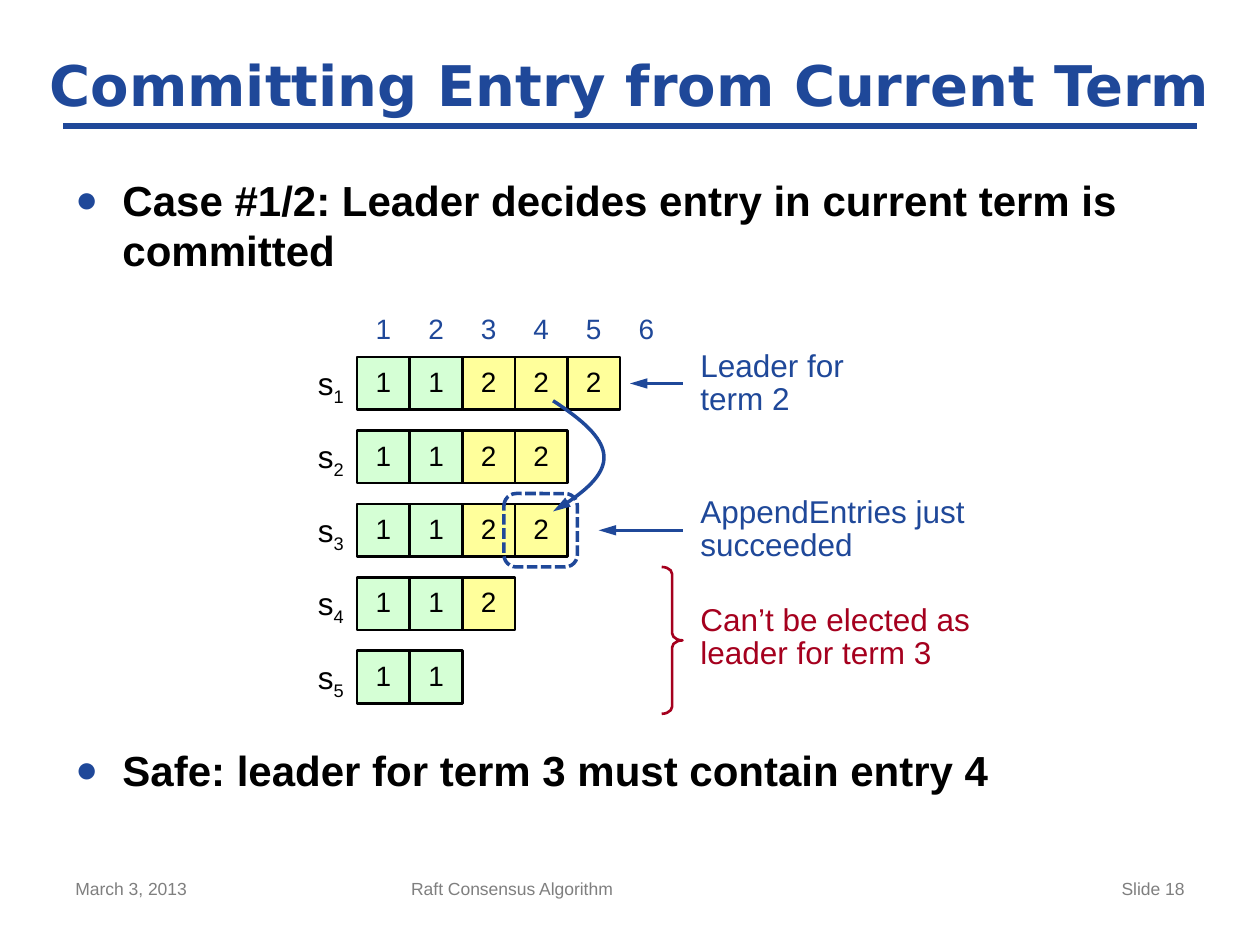
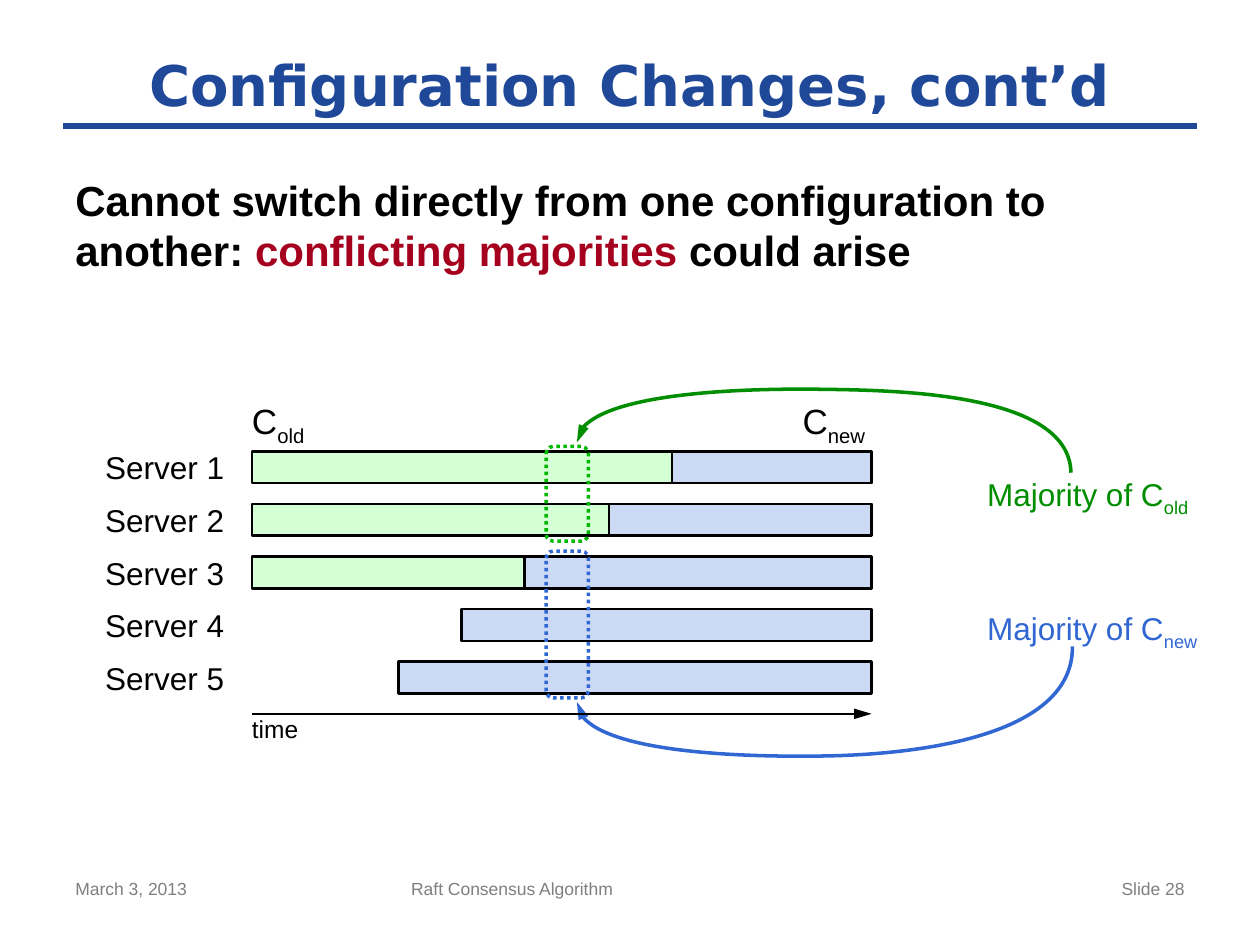
import pptx
import pptx.dml.color
import pptx.enum.dml
import pptx.enum.shapes
import pptx.enum.text
import pptx.oxml.ns
import pptx.util
from lxml import etree

Cm = pptx.util.Cm
Pt = pptx.util.Pt
RGBColor = pptx.dml.color.RGBColor
Shape = pptx.enum.shapes.MSO_SHAPE
Dash = pptx.enum.dml.MSO_LINE
Align = pptx.enum.text.PP_ALIGN
Anchor = pptx.enum.text.MSO_ANCHOR
qn = pptx.oxml.ns.qn

BLACK = RGBColor(0x00, 0x00, 0x00)
NAVY = RGBColor(0x1F, 0x48, 0x99)
BLUE = RGBColor(0x31, 0x67, 0xD3)
PALE = RGBColor(0xCC, 0xD9, 0xF4)
MINT = RGBColor(0xD5, 0xFF, 0xD5)
LIME = RGBColor(0x00, 0xB8, 0x00)
GREEN = RGBColor(0x00, 0x8E, 0x00)
YELLOW = RGBColor(0xFF, 0xFF, 0x9B)
RED = RGBColor(0xA5, 0x00, 0x1E)
GREY = RGBColor(0x7F, 0x7F, 0x7F)

WIDTH = 25.4
EDGE = 1.27
CELL = 1.06
LEFT, TOP, STEP = 7.2, 7.2, 1.48
START, END = 5.08, 17.57
BAR_TOP, BAR = 9.1, 0.64
LOGS = ["11222", "1122", "1122", "112", "11"]
SWITCH = [13.55, 12.28, 10.58, 9.31, 8.04]
FILLS = {"1": MINT, "2": YELLOW}


def style(par, size, color, bold=False, font="Arial"):
    for run in par.runs:
        run.font.size = Pt(size)
        run.font.name = font
        run.font.bold = bold
        run.font.color.rgb = color


def label(slide, box, text, size, color, sub="", align=Align.LEFT,
          pad=False, wrap=True, space=None):
    frame = slide.shapes.add_textbox(*map(Cm, box)).text_frame
    frame.word_wrap = wrap
    if not pad:
        frame.margin_left = frame.margin_right = 0
        frame.margin_top = frame.margin_bottom = 0
    par = frame.paragraphs[0]
    par.text = text
    par.alignment = align
    par.line_spacing = space
    if sub:
        run = par.add_run()
        run.text = sub
        run.font._element.set("baseline", "-25000")
    style(par, size, color)
    return frame


def shape(slide, kind, box, line, width=1.5, fill=None, dash=None):
    item = slide.shapes.add_shape(kind, *map(Cm, box))
    item.shadow.inherit = False
    if fill is None:
        item.fill.background()
    else:
        item.fill.solid()
        item.fill.fore_color.rgb = fill
    stroke(item, line, width)
    if dash:
        item.line.dash_style = dash
    return item


def stroke(item, color, width, arrow=False):
    item.line.color.rgb = color
    item.line.width = Pt(width)
    if arrow:
        line = item._element.spPr.find(qn("a:ln"))
        etree.SubElement(line, qn("a:tailEnd"), type="triangle", w="med", len="lg")


def line(slide, ends, color, width=1.5, arrow=True):
    kind = pptx.enum.shapes.MSO_CONNECTOR.STRAIGHT
    item = slide.shapes.add_connector(kind, *map(Cm, ends))
    stroke(item, color, width, arrow)
    etree.SubElement(item._element.spPr, qn("a:effectLst"))


def curve(slide, points, color):
    spots = [(Cm(x), Cm(y)) for x, y in points]
    pen = slide.shapes.build_freeform(*spots[0])
    pen.add_line_segments(spots[1:], close=False)
    item = pen.convert_to_shape()
    item.shadow.inherit = False
    item.fill.background()
    stroke(item, color, 2, True)
    legs = list(item._element.iter(qn("a:lnTo")))
    for first in range(0, len(legs), 3):
        trio = legs[first:first + 3]
        bend = etree.Element(qn("a:cubicBezTo"))
        trio[0].addprevious(bend)
        for leg in trio:
            bend.append(leg[0])
            leg.getparent().remove(leg)


def bullet(par):
    props = par._p.get_or_add_pPr()
    props.set("marL", str(Cm(0.95)))
    props.set("indent", str(Cm(-0.95)))
    tint = etree.SubElement(props, qn("a:buClr"))
    etree.SubElement(tint, qn("a:srgbClr"), val=str(NAVY))
    etree.SubElement(props, qn("a:buSzPct"), val="90000")
    etree.SubElement(props, qn("a:buFont"), typeface="Arial")
    etree.SubElement(props, qn("a:buChar"), char="●")


def body(slide, text):
    frame = label(slide, (EDGE, 3.39, 22.86, 13.64), text, 24, BLACK, pad=True)
    par = frame.paragraphs[0]
    par.space_before = Pt(12)
    style(par, 24, BLACK, True)
    return frame


def page(deck, title, width, number):
    slide = deck.slides.add_slide(deck.slide_layouts[6])
    line(slide, (EDGE, 2.54, WIDTH - EDGE, 2.54), NAVY, 4, False)
    box = ((WIDTH - width) / 2, 0.85, width, 1.69)
    frame = label(slide, box, title, 32, NAVY, align=Align.CENTER, pad=True)
    frame.vertical_anchor = Anchor.MIDDLE
    style(frame.paragraphs[0], 32, NAVY, True, "DejaVu Sans")
    for left, wide, text, align in [
        (EDGE, 5.93, "March 3, 2013", Align.LEFT),
        (8.04, 9.53, "Raft Consensus Algorithm", Align.LEFT),
        (18.2, 5.93, f"Slide {number}", Align.RIGHT),
    ]:
        label(slide, (left, 17.57, wide, 1.09), text, 10, GREY, align=align, pad=True)
    return slide


def cell(slide, left, top, term):
    item = shape(slide, Shape.RECTANGLE, (left, top, CELL, CELL), BLACK, fill=FILLS[term])
    frame = item.text_frame
    frame.margin_left = frame.margin_right = 0
    frame.margin_top = frame.margin_bottom = 0
    frame.vertical_anchor = Anchor.MIDDLE
    par = frame.paragraphs[0]
    par.text = term
    par.alignment = Align.CENTER
    par.line_spacing = Pt(17)
    style(par, 16, BLACK)


def commit(deck):
    slide = page(deck, "Committing Entry from Current Term", 24.13, 18)
    frame = body(slide, "Case #1/2: Leader decides entry in current term is committed")
    last = frame.add_paragraph()
    last.text = "Safe: leader for term 3 must contain entry 4"
    last.space_before = Pt(268)
    style(last, 24, BLACK, True)
    for par in frame.paragraphs:
        bullet(par)

    for col in range(6):
        box = (LEFT + col * CELL, 6.15, CELL, 0.94)
        label(slide, box, str(col + 1), 16, NAVY, align=Align.CENTER, pad=True)
    for row, terms in enumerate(LOGS):
        top = TOP + row * STEP
        box = (LEFT - CELL, top + 0.14, CELL, 0.76)
        label(slide, box, "s", 18, BLACK, str(row + 1), Align.CENTER)
        for col, term in enumerate(terms):
            cell(slide, LEFT + col * CELL, top, term)

    shape(slide, Shape.ROUNDED_RECTANGLE, (10.16, 9.95, 1.48, 1.48), NAVY, 2,
          dash=Dash.SQUARE_DOT).line._ln.prstDash.set("val", "sysDash")
    curve(slide, [(11.15, 8.08), (12.4, 8.89), (12.55, 9.5), (11.15, 10.31)], NAVY)
    brace = shape(slide, Shape.RIGHT_BRACE, (13.34, 11.43, 0.42, 2.96), RED)
    brace.adjustments[0] = 0.34
    for top, wide, text, color in [
        (7.06, 3.6, "Leader for\nterm 2", NAVY),
        (10.01, 7.04, "AppendEntries just\nsucceeded", NAVY),
        (12.19, 7.04, "Can’t be elected as\nleader for term 3", RED),
    ]:
        label(slide, (14.12, top, wide, 1.35), text, 18, color, space=Pt(19))
    for tip, mid in [(12.7, 7.73), (12.07, 10.69)]:
        line(slide, (13.76, mid, tip, mid), NAVY)


def change(deck):
    slide = page(deck, "Configuration Changes, cont’d", 22.86, 28)
    par = body(slide, "Cannot switch directly from one configuration to another: ").paragraphs[0]
    for text in ["conflicting majorities ", "could arise"]:
        par.add_run().text = text
    style(par, 24, BLACK, True)
    par.runs[1].font.color.rgb = RED

    for row, left in enumerate(SWITCH):
        top = BAR_TOP + row * CELL
        if row < 3:
            shape(slide, Shape.RECTANGLE, (START, top, END - START, BAR), BLACK, fill=MINT)
        shape(slide, Shape.RECTANGLE, (left, top, END - left, BAR), BLACK, fill=PALE)
        label(slide, (2.12, top - 0.06, 2.41, 0.76), f"Server {row + 1}", 18, BLACK, wrap=False)
    for top, tall, color in [(11.11, 2.96, BLUE), (9, 1.91, LIME)]:
        shape(slide, Shape.ROUNDED_RECTANGLE, (11.01, top, 0.85, tall), color, 2,
              dash=Dash.ROUND_DOT)
    for left, top, wide, text, size, color, sub in [
        (START, 8.05, 1.14, "C", 20, BLACK, "old"),
        (16.18, 8.05, 1.4, "C", 20, BLACK, "new"),
        (19.9, 9.58, 4.17, "Majority of C", 18, GREEN, "old"),
        (19.9, 12.28, 4.37, "Majority of C", 18, BLUE, "new"),
        (START, 14.39, 0.94, "time", 14, BLACK, ""),
    ]:
        label(slide, (left, top, wide, size * 0.04), text, size, color, sub, wrap=False)
    curve(slide, [(21.59, 9.53), (21.56, 7.98), (18.36, 7.87), (16.66, 7.85),
                  (14.94, 7.82), (11.63, 7.95), (11.63, 8.92)], GREEN)
    curve(slide, [(21.62, 13.03), (21.64, 14.88), (18.39, 15.21), (16.64, 15.24),
                  (14.91, 15.27), (11.63, 15.14), (11.63, 14.15)], BLUE)
    line(slide, (START, 14.39, END, 14.39), BLACK)


def main():
    deck = pptx.Presentation()
    deck.slide_width = Cm(WIDTH)
    deck.slide_height = Cm(19.05)
    commit(deck)
    change(deck)
    deck.save("out.pptx")


if __name__ == "__main__":
    main()
